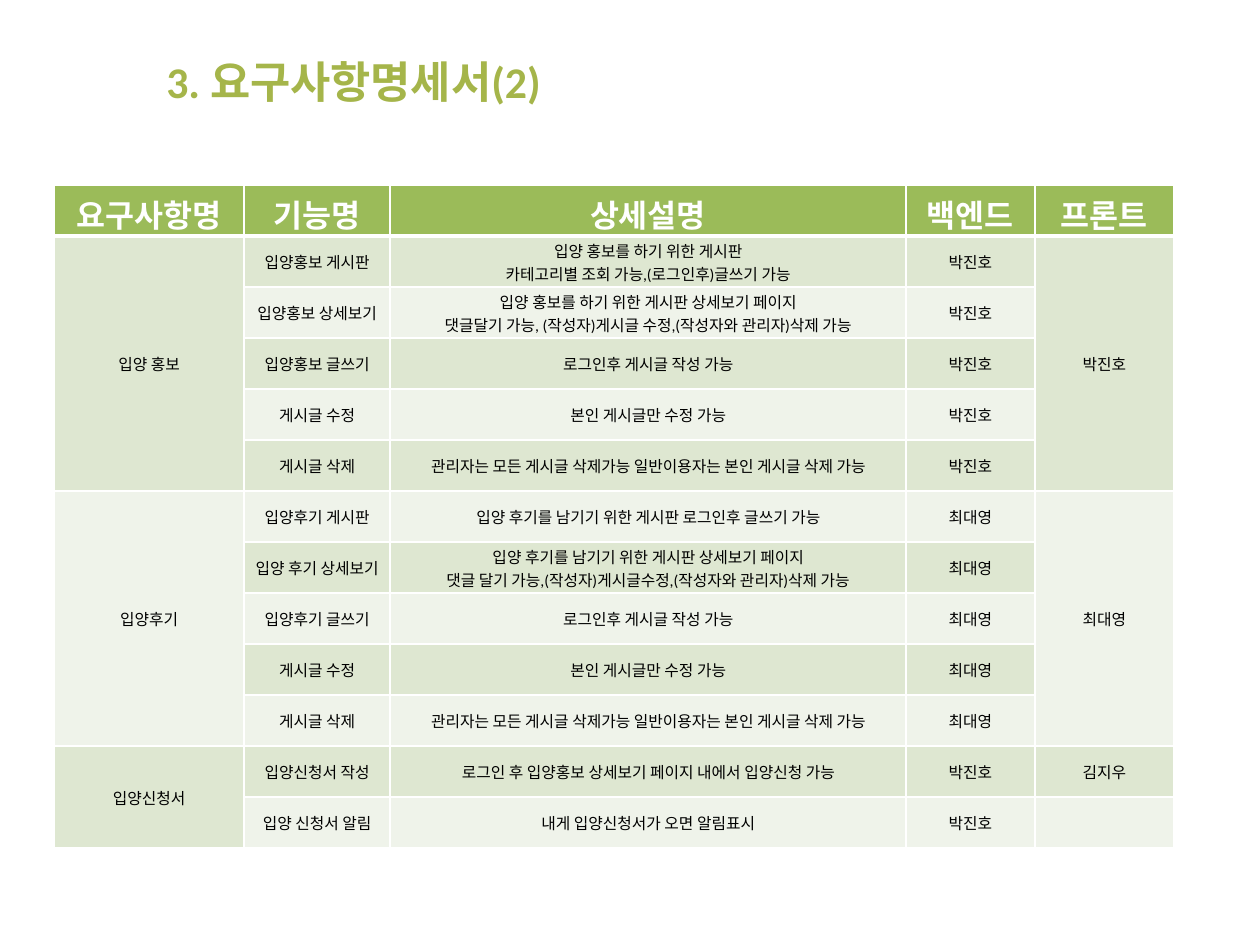
"""Build the requirements specification slide with its table of features."""
from dataclasses import dataclass
from typing import NamedTuple

from lxml.etree import SubElement
from pptx import Presentation
from pptx.dml.color import RGBColor as RGB
from pptx.enum.text import MSO_ANCHOR as ANCHOR, PP_ALIGN as ALIGN
from pptx.oxml.ns import qn
from pptx.util import Emu, Pt

COLORS = {"title": "A5B54A", "head": "9BBB59", "odd": "DEE7D1", "even": "EFF3EA",
          "white": "FFFFFF", "text": "000000"}
FONT = "Calibri"
HEADERS = ["요구사항명", "기능명", "상세설명", "백엔드", "프론트"]
WIDTHS = [190, 146, 516, 129, 139]
ROW_H = 51
LEFT, TOP = 54, 185


class Feature(NamedTuple):
    name: str
    detail: str


@dataclass
class Group:
    name: str
    backend: str
    front: str
    front_rows: int
    features: list[Feature]


EDITING = [
    Feature("게시글 수정", "본인 게시글만 수정 가능"),
    Feature("게시글 삭제", "관리자는 모든 게시글 삭제가능 일반이용자는 본인 게시글 삭제 가능"),
]
WRITE_DETAIL = "로그인후 게시글 작성 가능"
GROUPS = [
    Group("입양 홍보", "박진호", "박진호", 5, [
        Feature("입양홍보 게시판",
                "입양 홍보를 하기 위한 게시판\v카테고리별 조회 가능,(로그인후)글쓰기 가능"),
        Feature("입양홍보 상세보기",
                "입양 홍보를 하기 위한 게시판 상세보기 페이지\v"
                "댓글달기 가능, (작성자)게시글 수정,(작성자와 관리자)삭제 가능"),
        Feature("입양홍보 글쓰기", WRITE_DETAIL),
        *EDITING]),
    Group("입양후기", "최대영", "최대영", 5, [
        Feature("입양후기 게시판", "입양 후기를 남기기 위한 게시판 로그인후 글쓰기 가능"),
        Feature("입양 후기 상세보기",
                "입양 후기를 남기기 위한 게시판 상세보기 페이지\v"
                "댓글 달기 가능,(작성자)게시글수정,(작성자와 관리자)삭제 가능"),
        Feature("입양후기 글쓰기", WRITE_DETAIL),
        *EDITING]),
    Group("입양신청서", "박진호", "김지우", 1, [
        Feature("입양신청서 작성", "로그인 후 입양홍보 상세보기 페이지 내에서 입양신청 가능"),
        Feature("입양 신청서 알림", "내게 입양신청서가 오면 알림표시")]),
]


def px(n: int) -> Emu:
    return Emu(round(n * 914400 / 126))


def style_font(p, size: int, color: str, bold: bool) -> None:
    p.font.name, p.font.size, p.font.bold = FONT, Pt(size), bold
    p.font.color.rgb = RGB.from_string(COLORS[color])


def set_borders(cell, top: int, bottom: int) -> None:
    tc_pr = cell._tc.get_or_add_tcPr()
    for side, width in (("L", 1), ("R", 1), ("T", top), ("B", bottom)):
        ln = SubElement(tc_pr, qn(f"a:ln{side}"), w=str(Pt(width)))
        fill = SubElement(ln, qn("a:solidFill"))
        SubElement(fill, qn("a:srgbClr"), val=COLORS["white"])


def style_cell(cell, row: int, col: int) -> None:
    head = row == 0
    set_borders(cell, 3 if row == 1 else 1, 3 if head else 1)
    cell.fill.solid()
    cell.fill.fore_color.rgb = RGB.from_string(
        COLORS["head" if head else "odd" if row % 2 else "even"])
    cell.vertical_anchor = ANCHOR.MIDDLE
    if not head and col < 3:
        cell.margin_left = cell.margin_right = cell.margin_top = px(1)
        cell.margin_bottom = 0
    for p in cell.text_frame.paragraphs:
        p.alignment = ALIGN.CENTER
        style_font(p, 18 if head else 9, "white" if head else "text", head)


def add_title(s, text: str) -> None:
    tf = s.shapes.add_textbox(px(154), px(31), px(1043), px(100)).text_frame
    tf.word_wrap = True
    tf.vertical_anchor = ANCHOR.MIDDLE
    p = tf.paragraphs[0]
    p.text = text
    style_font(p, 25, "title", True)


def add_requirements(s, groups: list[Group]) -> None:
    n_rows = 1 + sum(len(g.features) for g in groups)
    table = s.shapes.add_table(n_rows, len(WIDTHS), px(LEFT), px(TOP),
                               px(sum(WIDTHS)), px(ROW_H * n_rows)).table
    table.horz_banding = False
    for column, width in zip(table.columns, WIDTHS):
        column.width = px(width)
    for col, text in enumerate(HEADERS):
        table.cell(0, col).text = text
    row = 1
    for g in groups:
        for col, text, span in ((0, g.name, len(g.features)), (4, g.front, g.front_rows)):
            cell = table.cell(row, col)
            cell.text = text
            if span > 1:
                cell.merge(table.cell(row + span - 1, col))
        for feature in g.features:
            for col, text in enumerate((*feature, g.backend), start=1):
                table.cell(row, col).text = text
            row += 1
    for r, table_row in enumerate(table.rows):
        table_row.height = px(ROW_H)
        for c, cell in enumerate(table_row.cells):
            style_cell(cell, r, c)


def main() -> None:
    prs = Presentation()
    prs.slide_width, prs.slide_height = px(1260), px(945)
    s = prs.slides.add_slide(prs.slide_layouts[6])
    add_title(s, "3. 요구사항명세서(2)")
    add_requirements(s, GROUPS)
    prs.save("out.pptx")


if __name__ == "__main__":
    main()
